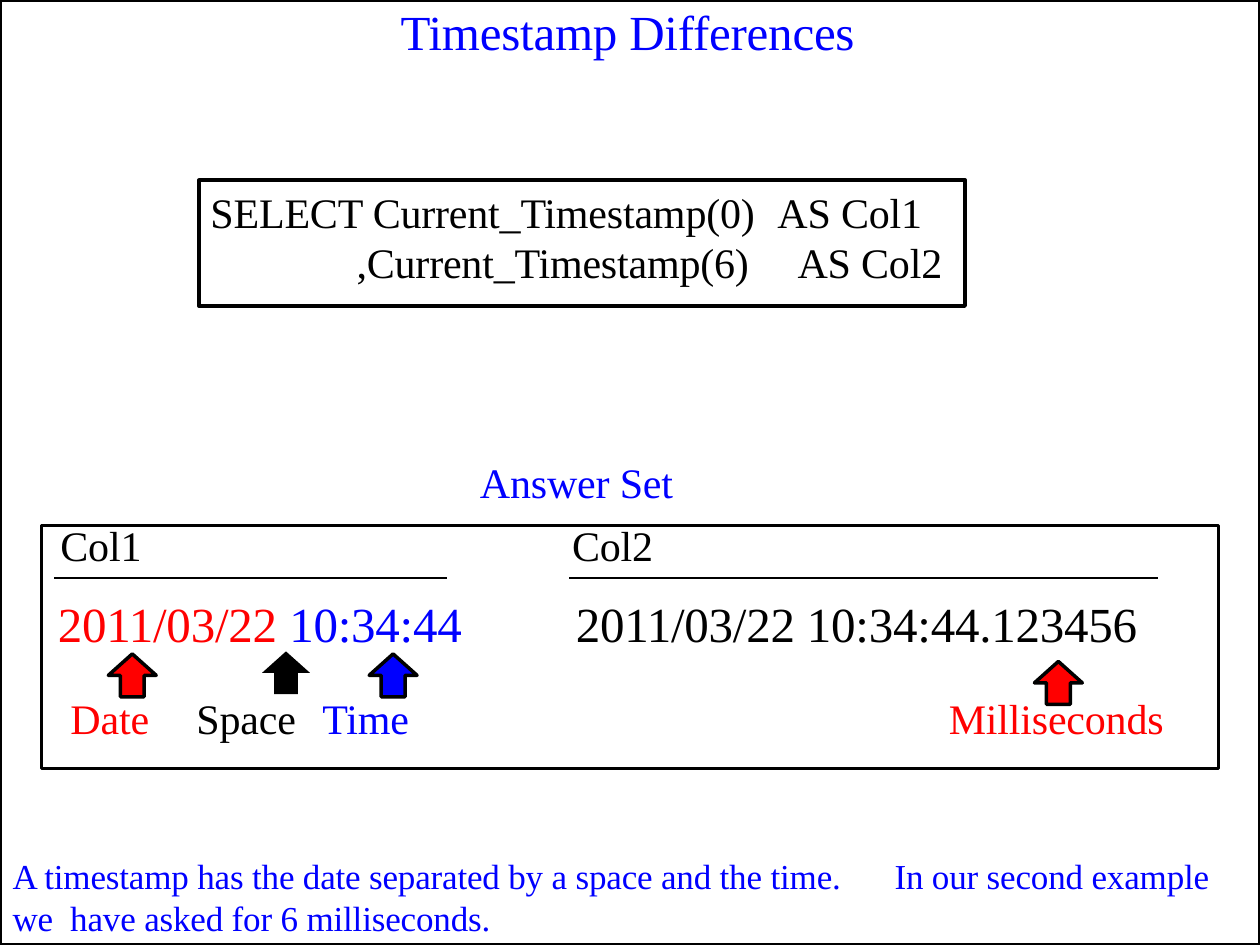
from lxml.etree import SubElement
from pptx import Presentation
from pptx.dml.color import RGBColor
from pptx.enum.shapes import MSO_CONNECTOR, MSO_SHAPE
from pptx.enum.text import MSO_ANCHOR, MSO_AUTO_SIZE, PP_ALIGN
from pptx.oxml.ns import qn
from pptx.util import Inches, Pt

THEME = {
    "font": "Times New Roman",
    "black": RGBColor(0, 0, 0),
    "red": RGBColor(255, 0, 0),
    "blue": RGBColor(0, 0, 255),
    "large": Pt(28),
    "medium": Pt(24),
    "small": Pt(20),
    "frame": Pt(2),
    "rule": Pt(1.12),
    "tracking": "-10",
}
COLUMNS, ROWS = 100, 75
CELL = Inches(0.1)

FRAMES = {
    "page": (0, 0, COLUMNS, ROWS),
    "answer": (3.3, 41.7, 93.4, 19.3),
    "query": (15.8, 14.3, 60.8, 10),
}
RULE_ROW = 45.9
HEADER_RULES = [(4.3, 35.5), (45.2, 91.9)]
ARROW_WIDTH, ARROW_HEIGHT = 3.8, 3.4
ARROWS = [(10.5, 51.9, "red"), (22.7, 51.7, "black"), (31.2, 51.9, "blue"), (84, 52.5, "red")]

TITLE = {
    "place": (31.7, 0, 40, 4.9), "inset": 0.1,
    "paragraphs": [(0.1, 0.9, [], [("Timestamp Differences", "large", "blue")])],
}
QUERY = {
    "inset": 0.5,
    "paragraphs": [
        (0.9, 3.3, [46.7], [("SELECT Current_Timestamp(0)\tAS Col1", "medium", "black")]),
        (12.5, 0.1, [46.3], [(",Current_Timestamp(6)\tAS Col2", "medium", "black")]),
    ],
}
TEXTS = [
    {
        "place": (38, 36.1, 18, 4.3), "inset": 0.1,
        "paragraphs": [(0.1, 1, [], [("Answer Set", "medium", "blue")])],
    },
    {
        "place": (4.6, 39.4, 34, 19.6), "inset": 1.8,
        "paragraphs": [
            (0.2, 12.9, [], [("Col1", "medium", "black")]),
            (0, 13.8, [], [("2011/03/22 ", "large", "red"), ("10:34:44", "large", "blue")]),
            (1, 22.6, [14, 23.5], [("Date\t", "medium", "red"), ("Space\t", "medium", "black"),
                                   ("Time", "medium", "blue")]),
        ],
    },
    {
        "place": (45.4, 39.4, 48.5, 19.7), "inset": 1.8,
        "paragraphs": [
            (0, 12.9, [], [("Col2", "medium", "black")]),
            (0.3, 13.8, [], [("2011/03/22 10:34:44.123456", "large", "black")]),
            (29.9, 23.1, [], [("Milliseconds", "medium", "red")]),
        ],
    },
    {
        "place": (0.9, 67.7, 97.2, 7), "inset": 0.1,
        "paragraphs": [(0.1, 1, [67.9], [(
            "A timestamp has the date separated by a space and the time.\t"
            "In our second example we  have asked for 6 milliseconds.", "small", "blue")])],
    },
]


def cells(*counts):
    return [round(count * CELL) for count in counts]


def set_values(target, values):
    for name, value in values.items():
        setattr(target, name, value)


def write_text(shape, content):
    frame = shape.text_frame
    set_values(frame, {
        "word_wrap": True, "auto_size": MSO_AUTO_SIZE.NONE, "vertical_anchor": MSO_ANCHOR.TOP,
        "margin_left": 0, "margin_right": 0, "margin_bottom": 0,
        "margin_top": cells(content["inset"])[0],
    })
    for index, (indent, before, tabs, runs) in enumerate(content["paragraphs"]):
        paragraph = frame.add_paragraph() if index else frame.paragraphs[0]
        set_values(paragraph, {"alignment": PP_ALIGN.LEFT, "space_before": Pt(before),
                               "line_spacing": 1.0})
        properties = paragraph._p.get_or_add_pPr()
        properties.set("marL", str(cells(indent)[0]))
        properties.set("indent", "0")
        if tabs:
            tab_list = SubElement(properties, qn("a:tabLst"))
            for position in cells(*tabs):
                SubElement(tab_list, qn("a:tab"), pos=str(position), algn="l")
        for text, size, colour in runs:
            run = paragraph.add_run()
            run.text = text
            set_values(run.font, {"name": THEME["font"], "size": THEME[size]})
            run.font.color.rgb = THEME[colour]
            run._r.get_or_add_rPr().set("spc", THEME["tracking"])


def add_outlined(slide, kind, place, fill=None):
    shape = slide.shapes.add_shape(kind, *cells(*place))
    shape.shadow.inherit = False
    if fill:
        shape.fill.solid()
        shape.fill.fore_color.rgb = THEME[fill]
    else:
        shape.fill.background()
    if fill == "black":
        shape.line.fill.background()
    else:
        shape.line.color.rgb = THEME["black"]
        shape.line.width = THEME["frame"]
    return shape


def add_rule(slide, start, end):
    rule = slide.shapes.add_connector(
        MSO_CONNECTOR.STRAIGHT, *cells(start, RULE_ROW, end, RULE_ROW))
    rule.line.color.rgb = THEME["black"]
    rule.line.width = THEME["rule"]
    SubElement(rule._element.spPr, qn("a:effectLst"))


def main():
    presentation = Presentation()
    set_values(presentation, {"slide_width": COLUMNS * CELL, "slide_height": ROWS * CELL})
    slide = presentation.slides.add_slide(presentation.slide_layouts[5])

    title = slide.shapes.title
    set_values(title, dict(zip(("left", "top", "width", "height"), cells(*TITLE["place"]))))
    write_text(title, TITLE)

    frames = {name: add_outlined(slide, MSO_SHAPE.RECTANGLE, place)
              for name, place in FRAMES.items()}
    write_text(frames["query"], QUERY)
    for content in TEXTS:
        write_text(slide.shapes.add_textbox(*cells(*content["place"])), content)
    for centre, top, colour in ARROWS:
        place = (centre - ARROW_WIDTH / 2, top, ARROW_WIDTH, ARROW_HEIGHT)
        add_outlined(slide, MSO_SHAPE.UP_ARROW, place, colour)
    for start, end in HEADER_RULES:
        add_rule(slide, start, end)

    presentation.save("out.pptx")


if __name__ == "__main__":
    main()
